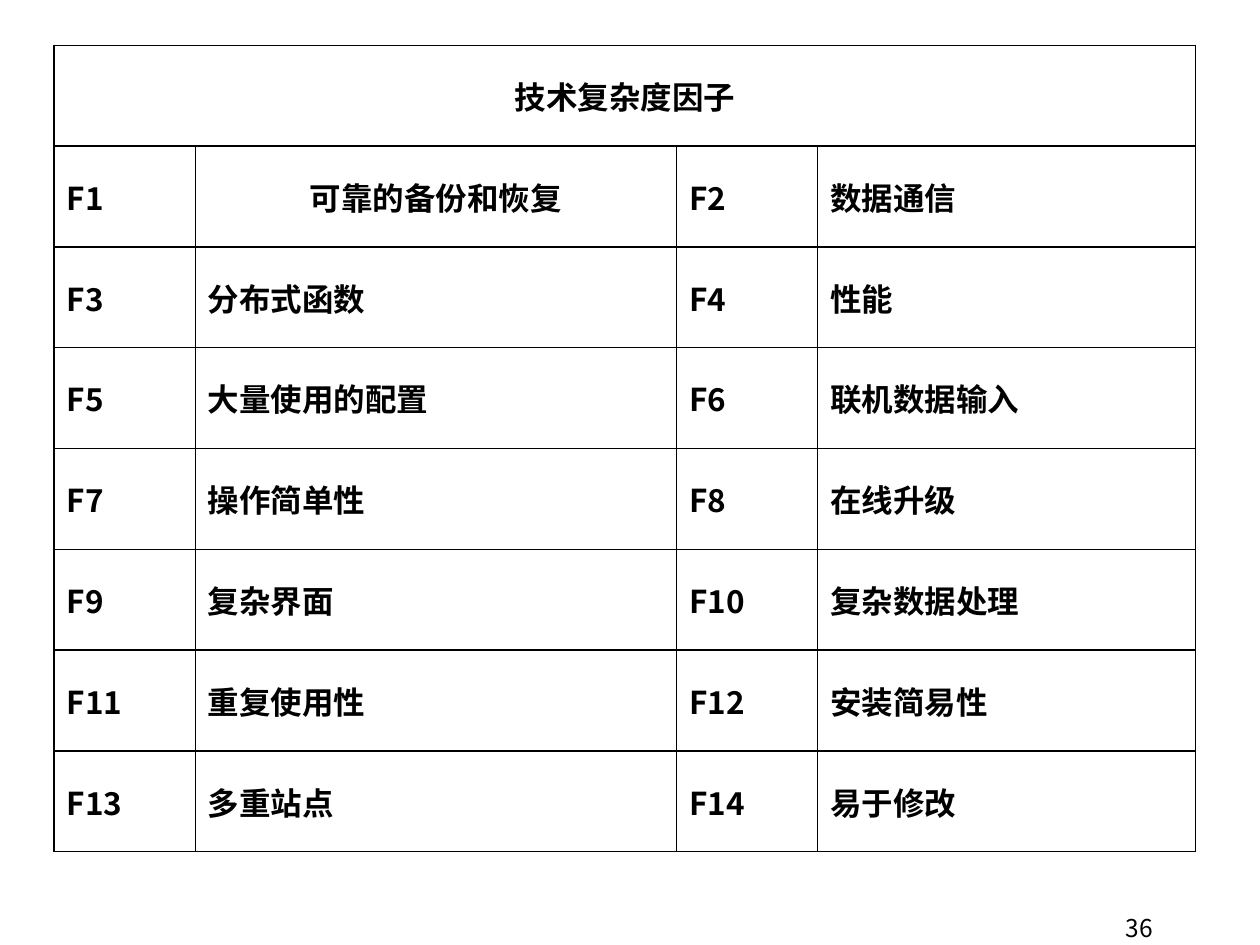
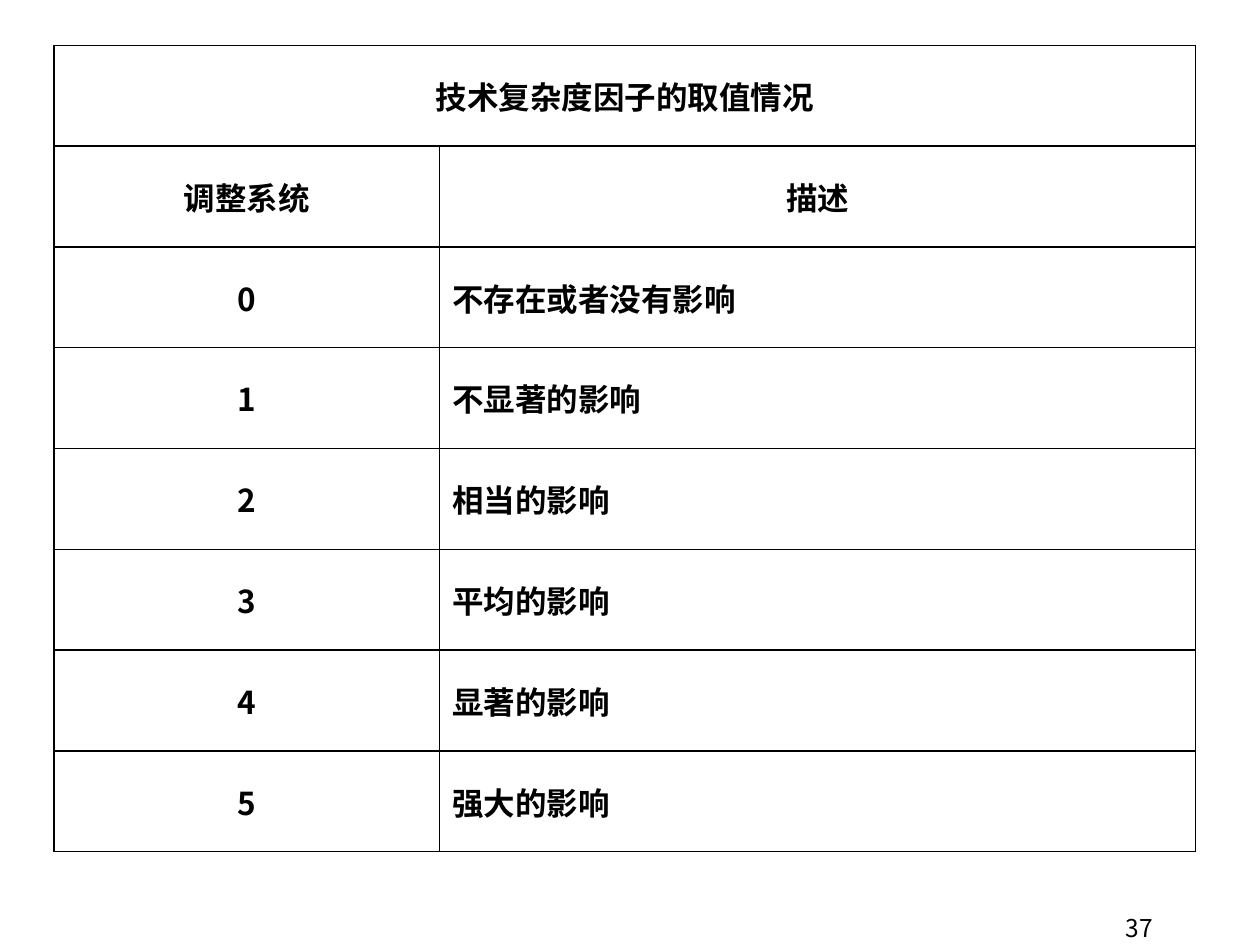
from lxml.etree import SubElement
from pptx import Presentation
from pptx.dml.color import RGBColor
from pptx.enum.text import MSO_ANCHOR as Anchor, PP_ALIGN as Align
from pptx.oxml.ns import qn
from pptx.util import Inches, Pt

# Content
FACTORS = [
    "可靠的备份和恢复", "数据通信", "分布式函数", "性能", "大量使用的配置",
    "联机数据输入", "操作简单性", "在线升级", "复杂界面", "复杂数据处理",
    "重复使用性", "安装简易性", "多重站点", "易于修改",
]
RATINGS = [
    "不存在或者没有影响", "不显著的影响", "相当的影响",
    "平均的影响", "显著的影响", "强大的影响",
]
labelled_factors = [(f"F{number}", name) for number, name in enumerate(FACTORS, 1)]
factor_rows = [left + right for left, right in zip(labelled_factors[::2], labelled_factors[1::2])]
rating_rows = [("调整系统", "描述")] + [(str(value), text) for value, text in enumerate(RATINGS)]

# Cells are (row, column), counted below the title row
SLIDES = [
    {"title": "技术复杂度因子", "rows": factor_rows, "widths": [1.12, 3.82, 1.12, 3],
     "centred": {(0, 1)}, "page": 36},
    {"title": "技术复杂度因子的取值情况", "rows": rating_rows, "widths": [3.06, 6],
     "centred": {(0, 1)} | {(row, 0) for row in range(len(rating_rows))}, "page": 37},
]

# Shared style
COLOURS = {"text": "000000", "border": "000000", "background": "FFFFFF"}
TABLE_FONT, PAGE_FONT = "Noto Sans CJK SC", "Noto Sans CJK KR"
TABLE_LEFT, TABLE_TOP, ROW_HEIGHT = 0.43, 0.36, 0.8
HANGING_INDENT = Inches(0.38)


def write(text_frame, text, font_name, size, align, bold=False):
    paragraph = text_frame.paragraphs[0]
    paragraph.text = text
    paragraph.alignment = align
    run = paragraph.runs[0]
    run.font.name = font_name
    run.font.size = Pt(size)
    run.font.bold = bold
    run.font.color.rgb = RGBColor.from_string(COLOURS["text"])
    SubElement(run.font._element, qn("a:ea"), typeface=font_name)
    return paragraph


def set_borders(cell):
    properties = cell._tc.get_or_add_tcPr()
    for side in ("lnL", "lnR", "lnT", "lnB"):
        line = SubElement(properties, qn(f"a:{side}"), w=str(Pt(1)))
        fill = SubElement(line, qn("a:solidFill"))
        SubElement(fill, qn("a:srgbClr"), val=COLOURS["border"])


def fill_cell(cell, text, centred):
    cell.vertical_anchor = Anchor.MIDDLE
    align = Align.CENTER if centred else Align.LEFT
    paragraph = write(cell.text_frame, text, TABLE_FONT, 18, align, bold=True)
    properties = paragraph._p.get_or_add_pPr()
    properties.set("marL", str(HANGING_INDENT))
    properties.set("indent", str(-HANGING_INDENT))


def add_grid(slide, title, rows, widths, centred):
    row_count = len(rows) + 1
    table = slide.shapes.add_table(
        row_count, len(widths), Inches(TABLE_LEFT), Inches(TABLE_TOP),
        Inches(sum(widths)), Inches(ROW_HEIGHT * row_count)).table
    for column, width in zip(table.columns, widths):
        column.width = Inches(width)
    for row in table.rows:
        row.height = Inches(ROW_HEIGHT)
    for cell in table.iter_cells():
        set_borders(cell)
        cell.fill.background()

    # Title row across all columns, then the body
    table.cell(0, 0).merge(table.cell(0, len(widths) - 1))
    fill_cell(table.cell(0, 0), title, True)
    for row_index, row in enumerate(rows):
        for column_index, text in enumerate(row):
            fill_cell(table.cell(row_index + 1, column_index), text,
                      (row_index, column_index) in centred)


def add_page_number(slide, page):
    box = slide.shapes.add_textbox(Inches(7.17), Inches(7.22), Inches(2.08), Inches(0.28))
    text_frame = box.text_frame
    text_frame.word_wrap = True
    text_frame.margin_top = text_frame.margin_bottom = 0
    text_frame.vertical_anchor = Anchor.MIDDLE
    write(text_frame, str(page), PAGE_FONT, 14, Align.RIGHT)


def main():
    presentation = Presentation()
    presentation.slide_width, presentation.slide_height = Inches(10), Inches(7.5)
    for content in SLIDES:
        slide = presentation.slides.add_slide(presentation.slide_layouts[6])
        background = slide.background.fill
        background.solid()
        background.fore_color.rgb = RGBColor.from_string(COLOURS["background"])
        add_page_number(slide, content["page"])
        add_grid(slide, content["title"], content["rows"], content["widths"], content["centred"])
    presentation.save("out.pptx")


if __name__ == "__main__":
    main()
